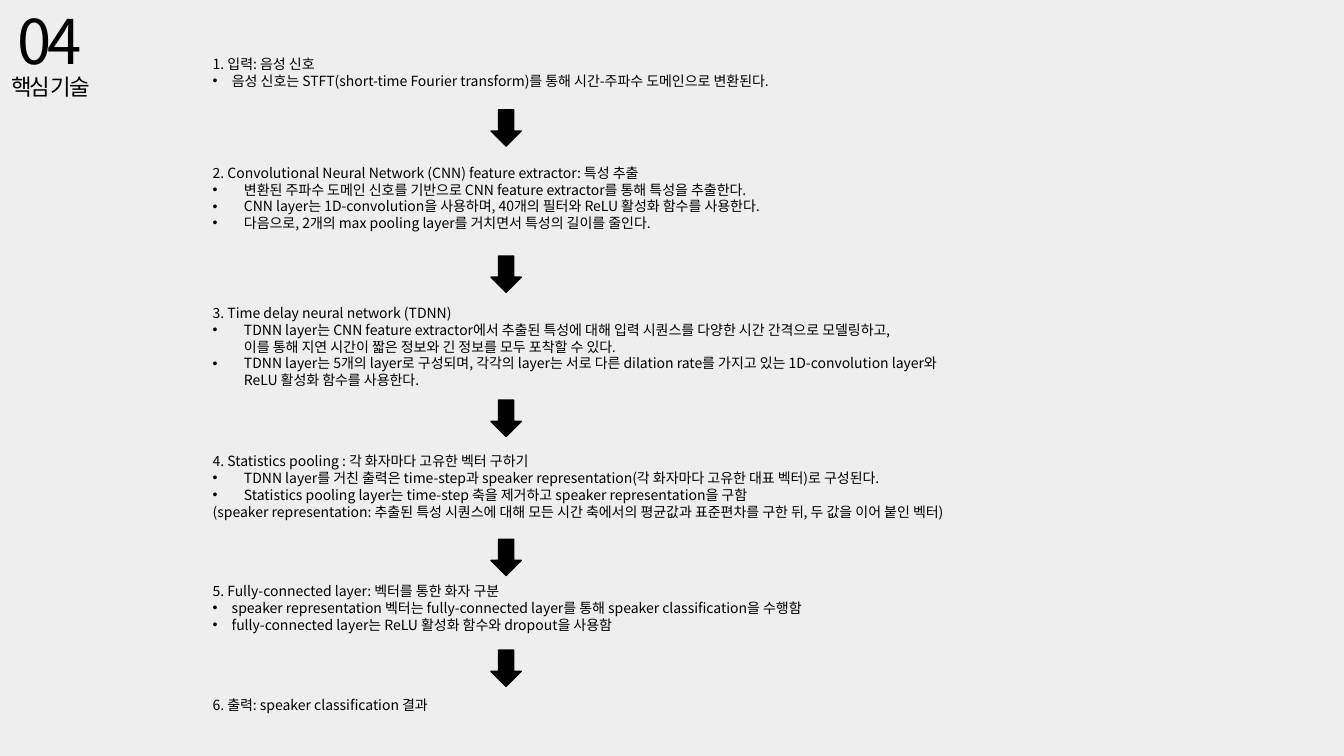
from lxml.etree import SubElement
from pptx import Presentation
from pptx.dml.color import RGBColor
from pptx.enum.shapes import MSO_SHAPE as Shape
from pptx.enum.text import MSO_ANCHOR as Anchor, MSO_AUTO_SIZE as AutoSize, PP_ALIGN as Align
from pptx.oxml.ns import qn
from pptx.util import Inches, Pt

COLORS = {"background": "EEEEEE", "ink": "000000"}
FONT = "Noto Sans CJK KR"


def place(box, left, top, width, height):
    """Position a text box or placeholder and set up its frame."""
    box.left, box.top = Inches(left), Inches(top)
    box.width, box.height = Inches(width), Inches(height)
    settings = {"word_wrap": True, "auto_size": AutoSize.SHAPE_TO_FIT_TEXT,
                "vertical_anchor": Anchor.TOP}
    for name, value in settings.items():
        setattr(box.text_frame, name, value)
    return box.text_frame


def style(span, size, spacing=0):
    """Format a run; spacing is in points."""
    for name, value in {"name": FONT, "size": Pt(size), "bold": False}.items():
        setattr(span.font, name, value)
    span.font.color.rgb = RGBColor.from_string(COLORS["ink"])
    properties = span.font._element
    SubElement(properties, qn("a:ea"), typeface=FONT)
    if spacing:
        properties.set("spc", str(int(spacing * 100)))


# Page
deck = Presentation()
deck.slide_width, deck.slide_height = Inches(13.33), Inches(7.5)
page = deck.slides.add_slide(deck.slide_layouts.get_by_name("Comparison"))
page.background.fill.solid()
page.background.fill.fore_color.rgb = RGBColor.from_string(COLORS["background"])

# Section title and number
para = place(page.shapes.title, -1.21, 0.45, 3.36, 1.05).paragraphs[0]
para.alignment, para.line_spacing = Align.CENTER, 1.5
for text, size, spacing in [(" ", 20, 0), ("핵심 기술", 16, -1.5)]:
    span = para.add_run()
    span.text = text
    style(span, size, spacing)

number = page.shapes.add_textbox(0, 0, 0, 0)
span = place(number, 0.08, -0.02, 1.48, 0.94).paragraphs[0].add_run()
span.text = "04"
style(span, 44, -3)

# Steps: top, width, height, bullet indent, heading, bullets, closing note
steps = [
    (0.5, 6.01, 0.44, 0.19, "1. 입력: 음성 신호", [
        "음성 신호는 STFT(short-time Fourier transform)를 통해 시간-주파수 도메인으로 변환된다.",
    ], []),
    (1.58, 6.01, 0.77, 0.31,
     "2. Convolutional Neural Network (CNN) feature extractor: 특성 추출", [
         "변환된 주파수 도메인 신호를 기반으로 CNN feature extractor를 통해 특성을 추출한다.",
         "CNN layer는 1D-convolution을 사용하며, 40개의 필터와 ReLU 활성화 함수를 사용한다.",
         "다음으로, 2개의 max pooling layer를 거치면서 특성의 길이를 줄인다.",
     ], []),
    (2.97, 7.64, 0.94, 0.31, "3. Time delay neural network (TDNN)", [
        "TDNN layer는 CNN feature extractor에서 추출된 특성에 대해 입력 시퀀스를 "
        "다양한 시간 간격으로 모델링하고, \v"
        "이를 통해 지연 시간이 짧은 정보와 긴 정보를 모두 포착할 수 있다.",
        "TDNN layer는 5개의 layer로 구성되며, 각각의 layer는 서로 다른 dilation rate를 "
        "가지고 있는 1D-convolution layer와 \vReLU 활성화 함수를 사용한다.",
    ], []),
    (4.44, 9.81, 0.77, 0.31, "4. Statistics pooling : 각 화자마다 고유한 벡터 구하기", [
        "TDNN layer를 거친 출력은 time-step과 speaker representation"
        "(각 화자마다 고유한 대표 벡터)로 구성된다.",
        "Statistics pooling layer는 time-step 축을 제거하고 speaker representation을 구함",
    ], [
        "(speaker representation: 추출된 특성 시퀀스에 대해 모든 시간 축에서의 "
        "평균값과 표준편차를 구한 뒤, 두 값을 이어 붙인 벡터)",
    ]),
    (5.73, 9.81, 0.61, 0.19, "5. Fully-connected layer: 벡터를 통한 화자 구분", [
        "speaker representation 벡터는 fully-connected layer를 통해 "
        "speaker classification을 수행함",
        "fully-connected layer는 ReLU 활성화 함수와 dropout을 사용함",
    ], []),
    (6.86, 2.87, 0.27, 0, "6. 출력: speaker classification 결과", [], []),
]

# The layout's four body placeholders hold the first steps, text boxes the rest
boxes = [box for box in page.placeholders if box.placeholder_format.idx > 0]
while len(boxes) < len(steps):
    boxes.append(page.shapes.add_textbox(0, 0, 0, 0))

for box, (top, width, height, indent, heading, bullets, notes) in zip(boxes, steps):
    frame = place(box, 2.01, top, width, height)
    lines = [heading, *bullets, *notes]
    for index, text in enumerate(lines):
        para = frame.add_paragraph() if index else frame.paragraphs[0]
        para.text = text
        layout = {"alignment": Align.LEFT, "line_spacing": 1.0,
                  "space_before": Pt(0), "space_after": Pt(0)}
        for name, value in layout.items():
            setattr(para, name, value)
        for span in para.runs:
            style(span, 10)
        for line_break in para._p.findall(qn("a:br")):
            SubElement(line_break, qn("a:rPr"), sz="1000")
        # Bullet or plain line
        is_bullet = 0 < index <= len(bullets)
        hang = Inches(indent) if is_bullet else 0
        properties = para._p.get_or_add_pPr()
        properties.set("marL", str(hang))
        properties.set("indent", str(-hang))
        if is_bullet:
            SubElement(properties, qn("a:buFont"), typeface="Arial")
            SubElement(properties, qn("a:buChar"), char="•")
        else:
            SubElement(properties, qn("a:buNone"))

# Arrows between the steps
for top in [1.09, 2.54, 3.97, 5.35, 6.45]:
    arrow = page.shapes.add_shape(Shape.DOWN_ARROW, Inches(4.87), Inches(top),
                                  Inches(0.3), Inches(0.36))
    arrow.shadow.inherit = False
    arrow.fill.solid()
    arrow.line.width = Pt(1)
    for paint in (arrow.fill.fore_color, arrow.line.color):
        paint.rgb = RGBColor.from_string(COLORS["ink"])

deck.save("out.pptx")
